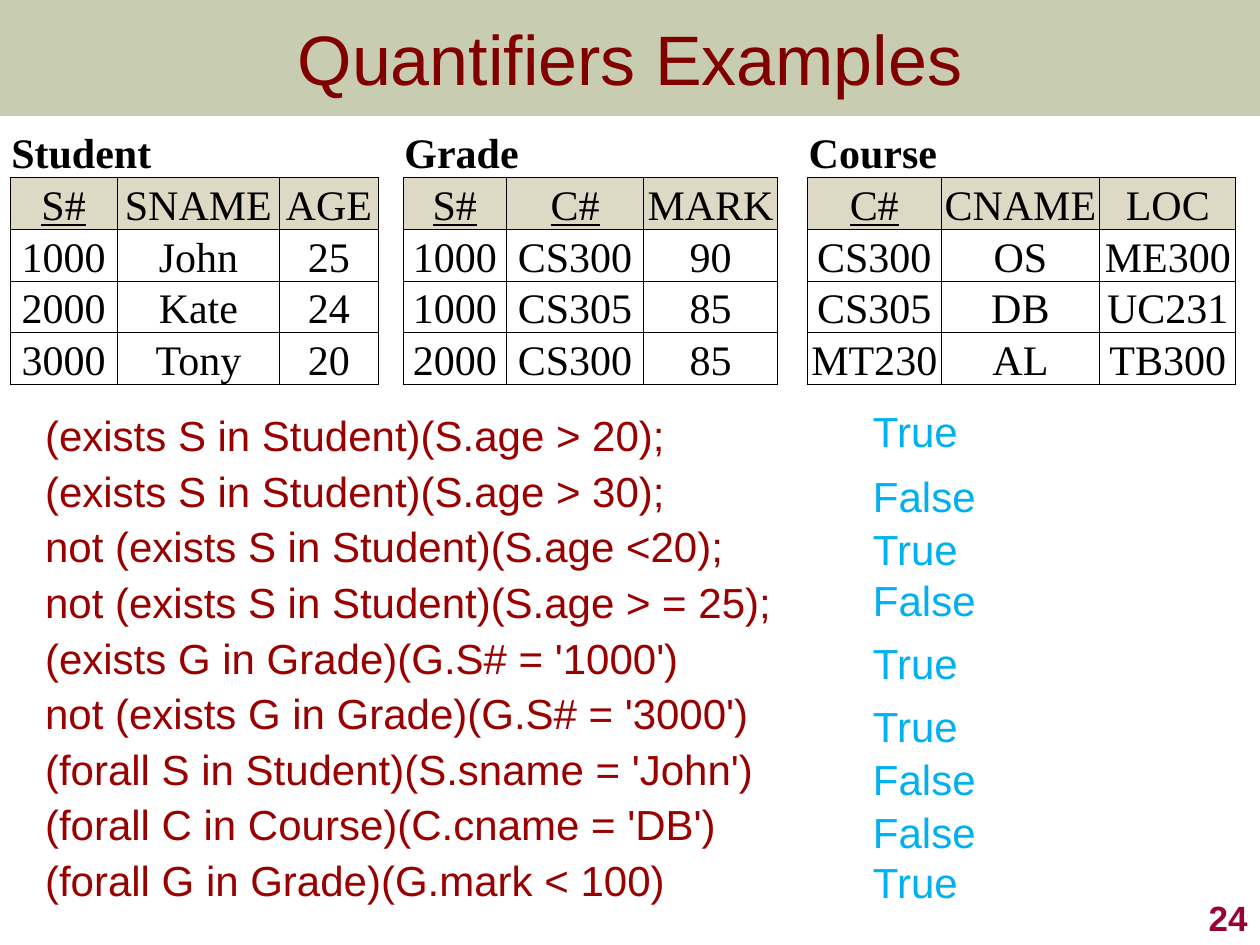
from lxml.etree import SubElement
from pptx import Presentation
from pptx.dml.color import RGBColor
from pptx.enum.shapes import MSO_SHAPE
from pptx.enum.text import MSO_ANCHOR, PP_ALIGN
from pptx.oxml.ns import qn
from pptx.util import Inches, Pt

OLIVE = RGBColor(0x67, 0x72, 0x28)
MAROON = RGBColor(0x80, 0x00, 0x00)
RED = RGBColor(0x99, 0x00, 0x00)
SKY = RGBColor(0x00, 0xB0, 0xF0)
WINE = RGBColor(0x99, 0x00, 0x33)
TAN = RGBColor(0xDD, 0xD9, 0xC4)
WHITE = RGBColor(0xFF, 0xFF, 0xFF)
BLACK = RGBColor(0x00, 0x00, 0x00)


def write(p, text, color, **fmt):
    r = p.add_run()
    r.text = text
    r.font.color.rgb = color
    for name, value in {"name": "Arial", "size": Pt(24), **fmt}.items():
        setattr(r.font, name, value)


def add_text(box, lines, color, anchor, align=PP_ALIGN.LEFT, spacing={}, **fmt):
    tf = s.shapes.add_textbox(*map(Inches, box)).text_frame
    tf.word_wrap = True
    tf.vertical_anchor = anchor
    for i, line in enumerate(lines):
        p = tf.paragraphs[0] if i == 0 else tf.add_paragraph()
        for name, value in {"alignment": align, **spacing}.items():
            setattr(p, name, value)
        write(p, line, color, **fmt)


prs = Presentation()
prs.slide_width, prs.slide_height = Inches(10), Inches(7.5)
s = prs.slides.add_slide(prs.slide_layouts[6])

band = s.shapes.add_shape(MSO_SHAPE.RECTANGLE, 0, 0, Inches(10), Inches(0.92))
band.shadow.inherit = False
band.fill.solid()
band.fill.fore_color.rgb = OLIVE
band.line.fill.background()
SubElement(next(band.element.spPr.iter(qn("a:srgbClr"))), qn("a:alpha"), val="36000")

add_text((0, 0, 10, 0.92), ["Quantifiers Examples"], MAROON, MSO_ANCHOR.MIDDLE,
         PP_ALIGN.CENTER, size=Pt(40))

queries = [
    ("(exists S in Student)(S.age > 20);", "True", 3.67),
    ("(exists S in Student)(S.age > 30);", "False", 4.18),
    ("not (exists S in Student)(S.age <20);", "True", 4.6),
    ("not (exists S in Student)(S.age > = 25);", "False", 5.01),
    ("(exists G in Grade)(G.S# = '1000')", "True", 5.51),
    ("not (exists G in Grade)(G.S# = '3000')", "True", 6.01),
    ("(forall S in Student)(S.sname = 'John')", "False", 6.43),
    ("(forall C in Course)(C.cname = 'DB')", "False", 6.85),
    ("(forall G in Grade)(G.mark < 100)", "True", 7.25),
]
add_text((0.26, 3.25, 9.4, 4), [query for query, _, _ in queries], RED, MSO_ANCHOR.TOP,
         spacing={"line_spacing": 0.9, "space_before": Pt(5.8)})
for i, (_, answer, bottom) in enumerate(queries):
    height = 0.4 if i == 0 else 0.58
    add_text((6.83, bottom - height, 1.08, height), [answer], SKY, MSO_ANCHOR.BOTTOM)

add_text((7.92, 7, 2.08, 0.5), ["24"], WINE, MSO_ANCHOR.BOTTOM, PP_ALIGN.RIGHT,
         size=Pt(20), bold=True)

widths = [0.85, 1.29, 0.78, 0.2, 0.82, 1.09, 1.06, 0.24, 1.06, 1.26, 1.08]
gaps = (3, 7)
keys = ("S#", "C#")
rows = [
    ["Student", "", "", "", "Grade", "", "", "", "Course", "", ""],
    ["S#", "SNAME", "AGE", "", "S#", "C#", "MARK", "", "C#", "CNAME", "LOC"],
    ["1000", "John", "25", "", "1000", "CS300", "90", "", "CS300", "OS", "ME300"],
    ["2000", "Kate", "24", "", "1000", "CS305", "85", "", "CS305", "DB", "UC231"],
    ["3000", "Tony", "20", "", "2000", "CS300", "85", "", "MT230", "AL", "TB300"],
]
tb = s.shapes.add_table(len(rows), len(widths), Inches(0.08), Inches(1),
                        Inches(sum(widths)), Inches(0.38 * len(rows))).table
tb.first_row = tb.horz_banding = False
for col, width in zip(tb.columns, widths):
    col.width = Inches(width)
for row in tb.rows:
    row.height = Inches(0.38)

for i, row in enumerate(rows):
    for j, text in enumerate(row):
        cell = tb.cell(i, j)
        margins = {"margin_left": 0.01, "margin_right": 0.01, "margin_top": 0.01, "margin_bottom": 0}
        for name, value in margins.items():
            setattr(cell, name, Inches(value))
        cell.vertical_anchor = MSO_ANCHOR.BOTTOM
        gap = j in gaps
        tcPr = cell._tc.get_or_add_tcPr()
        if i == 0:
            black_sides = "" if gap else "B"
        else:
            black_sides = "LR" if gap else "LRTB"
        for side in "LRTB":
            ln = SubElement(tcPr, qn(f"a:ln{side}"), w="6350")
            if side in black_sides:
                SubElement(SubElement(ln, qn("a:solidFill")), qn("a:srgbClr"), val=str(BLACK))
            else:
                SubElement(ln, qn("a:noFill"))
        cell.fill.solid()
        cell.fill.fore_color.rgb = TAN if i == 1 and not gap else WHITE
        if text:
            p = cell.text_frame.paragraphs[0]
            p.alignment = PP_ALIGN.CENTER if i else PP_ALIGN.LEFT
            write(p, text, BLACK, name="Times New Roman", bold=i == 0, underline=text in keys)

for j in (0, 4, 8):
    tb.cell(0, j).merge(tb.cell(0, j + 2))

prs.save("out.pptx")
